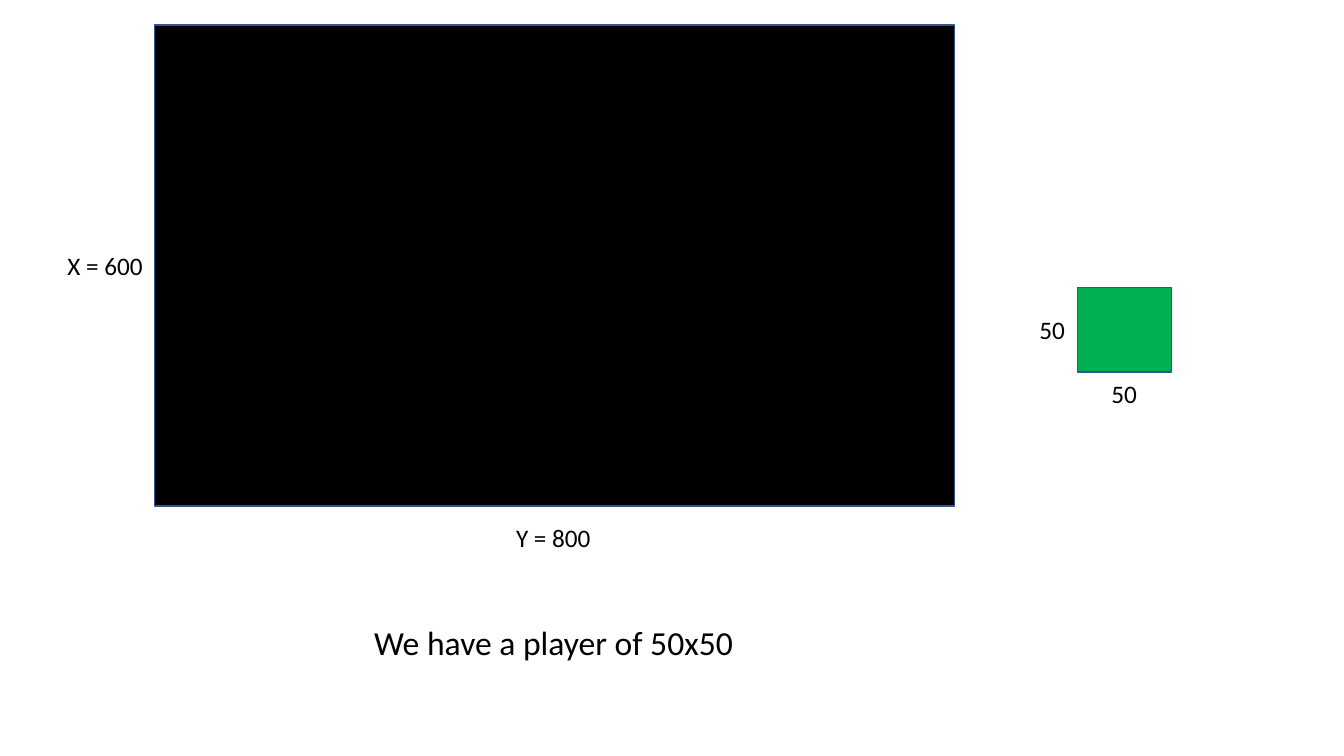
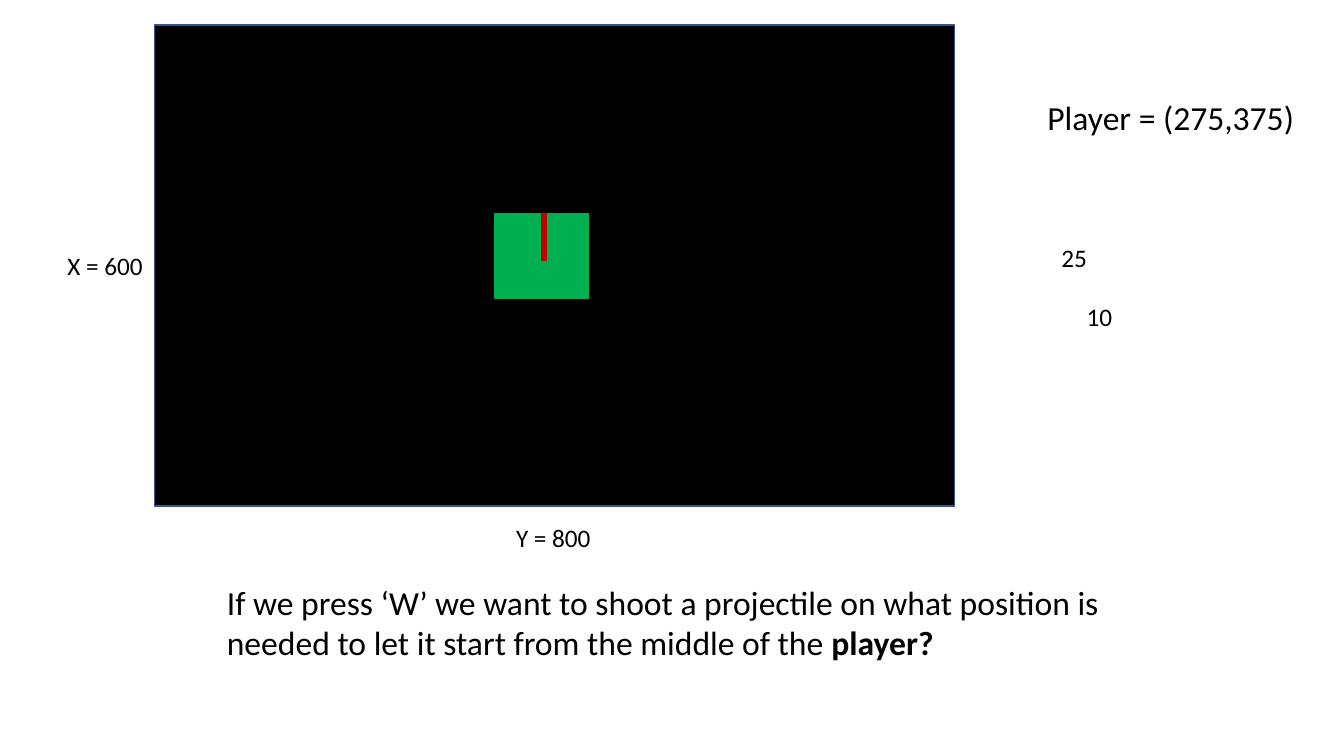
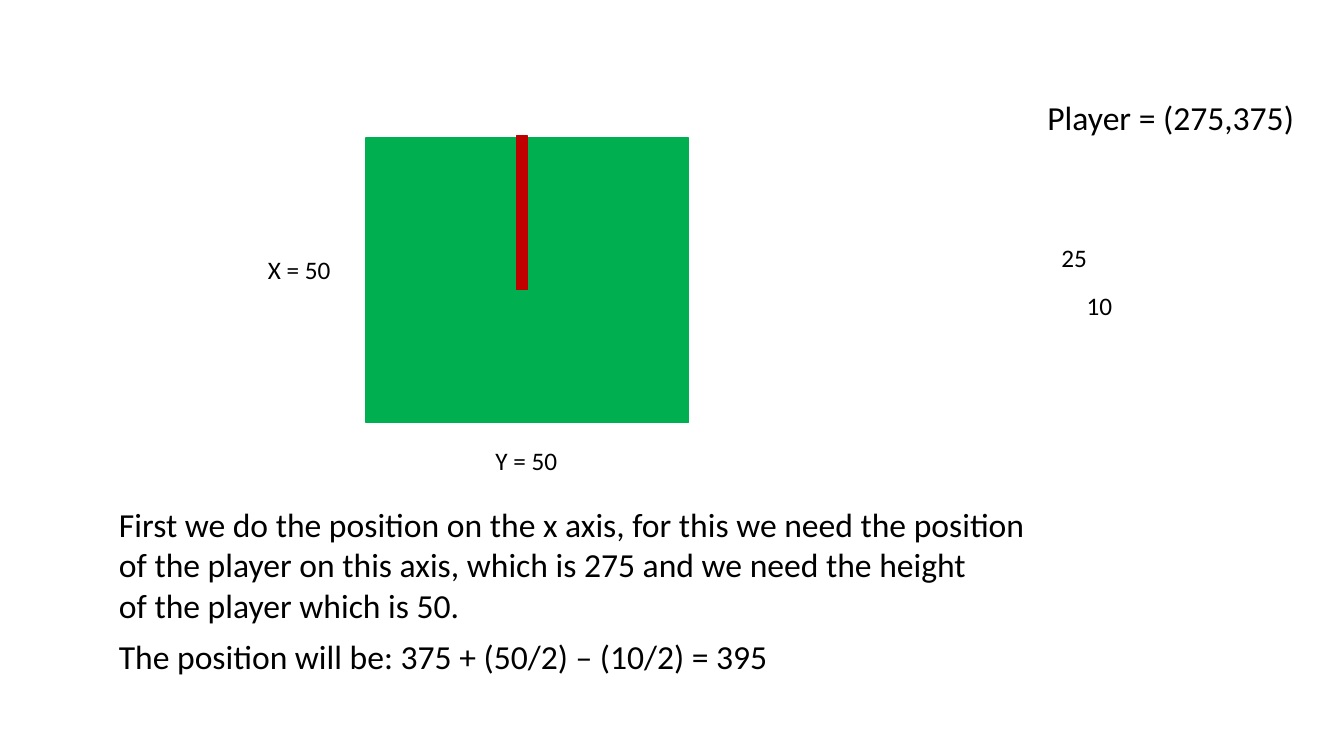
from dataclasses import dataclass

from pptx import Presentation
from pptx.dml.color import RGBColor
from pptx.enum.shapes import MSO_SHAPE
from pptx.enum.text import MSO_ANCHOR, MSO_AUTO_SIZE, PP_ALIGN
from pptx.util import Inches, Pt

FONT = "Calibri"
TEXT = "000000"
SCREEN = "000000"
OUTLINE = "325491"
PLAYER = "00B050"
PROJECTILE = "C00000"
STATEMENT_SIZE = 24
LABEL_SIZE = 18
LABEL_HEIGHT = 0.4
STATEMENT_HEIGHT = 0.5


@dataclass(frozen=True)
class Box:
    """Hold a region of the slide in inches."""

    left: float
    top: float
    width: float
    height: float

    def inside(self, left, top, width, height):
        """Return a box placed relative to this one's corner."""
        return Box(self.left + left, self.top + top, width, height)

    def lengths(self):
        """Return left, top, width and height as slide lengths."""
        return [Inches(n) for n in (self.left, self.top, self.width, self.height)]


GAME_SCREEN = Box(1.53, 0.25, 7.94, 4.77)
NOTES = Box(10.29, 0.91, 2.67, 2.43)


def color(code):
    """Turn a hex string into a colour."""
    return RGBColor.from_string(code)


def write(holder, text, size=LABEL_SIZE, bold_end=""):
    """Fill a text holder, one paragraph a line, with an optional bold ending."""
    frame = holder.text_frame
    frame.word_wrap = False
    frame.auto_size = MSO_AUTO_SIZE.SHAPE_TO_FIT_TEXT
    frame.vertical_anchor = MSO_ANCHOR.TOP
    frame.text = text
    if bold_end:
        frame.paragraphs[-1].add_run().text = bold_end
        frame.paragraphs[-1].runs[-1].font.bold = True
    for paragraph in frame.paragraphs:
        paragraph.alignment = PP_ALIGN.LEFT
        for run in paragraph.runs:
            run.font.name = FONT
            run.font.size = Pt(size)
            run.font.color.rgb = color(TEXT)


def add_text(slide, box, text, **style):
    """Add a text box."""
    write(slide.shapes.add_textbox(*box.lengths()), text, **style)


def add_statement(slide, box, text, **style):
    """Place the slide's main statement in its title placeholder."""
    statement = slide.shapes.title
    statement.left, statement.top, statement.width, statement.height = box.lengths()
    write(statement, text, size=STATEMENT_SIZE, **style)


def add_block(slide, box, fill, line):
    """Add a plain outlined rectangle."""
    block = slide.shapes.add_shape(MSO_SHAPE.RECTANGLE, *box.lengths())
    block.shadow.inherit = False
    block.fill.solid()
    block.fill.fore_color.rgb = color(fill)
    block.line.color.rgb = color(line)
    block.line.width = Pt(1)


def add_dimensions(slide, box, x_text, y_text, width, x_gap, y_gap, x_rise=0):
    """Label a box's height on its left and its width below it."""
    x_top = (box.height - LABEL_HEIGHT) / 2 - x_rise
    y_left = (box.width - width) / 2
    add_text(slide, box.inside(-x_gap - width, x_top, width, LABEL_HEIGHT), x_text)
    add_text(slide, box.inside(y_left, box.height + y_gap, width, LABEL_HEIGHT), y_text)


def add_game_screen(slide):
    """Draw the game screen with its dimensions."""
    add_block(slide, GAME_SCREEN, SCREEN, OUTLINE)
    add_dimensions(slide, GAME_SCREEN, "X = 600", "Y = 800", 0.96, 0, 0.11)


def add_armed_player(slide, player, projectile):
    """Draw the player with a projectile starting from its middle."""
    add_block(slide, player, PLAYER, PLAYER)
    add_block(slide, projectile, PROJECTILE, PROJECTILE)


def add_player_notes(slide, box, width_top):
    """List the player's position and the projectile's size."""
    position = box.inside(0, 0, box.width, STATEMENT_HEIGHT)
    add_text(slide, position, "Player = (275,375)", size=STATEMENT_SIZE)
    add_text(slide, box.inside(0.14, 1.44, 0.46, LABEL_HEIGHT), "25")
    add_text(slide, box.inside(0.39, width_top, 0.46, LABEL_HEIGHT), "10")


def build_player_size(slide):
    """Show the screen and the size of the player."""
    player = Box(10.69, 2.85, 0.93, 0.84)
    add_game_screen(slide)
    add_block(slide, player, PLAYER, OUTLINE)
    add_dimensions(slide, player, "50", "50", 0.46, 0.02, 0.01)
    add_statement(slide, Box(3.61, 6.12, 3.8, STATEMENT_HEIGHT),
                  "We have a player of 50x50")


def build_question(slide):
    """Ask where the projectile has to start."""
    player = Box(4.91, 2.12, 0.93, 0.84)
    add_game_screen(slide)
    add_armed_player(slide, player, player.inside(0.46, 0, 0.05, 0.46))
    add_player_notes(slide, NOTES, 2.03)
    add_statement(
        slide, Box(2.15, 5.72, 9, 0.91),
        "If we press ‘W’ we want to shoot a projectile on what position is\n"
        "needed to let it start from the middle of the ",
        bold_end="player?")


def build_answer(slide):
    """Work out the start position on a larger player."""
    player = Box(3.63, 1.37, 3.2, 2.82)
    explanation = Box(1.08, 4.95, 9.34, 1.31)
    add_armed_player(slide, player, player.inside(1.49, -0.02, 0.11, 1.52))
    add_dimensions(slide, player, "X = 50", "Y = 50", 0.83, 0.24, 0.18, x_rise=0.11)
    add_player_notes(slide, NOTES, 1.92)
    add_statement(
        slide, explanation,
        "First we do the position on the x axis, for this we need the position\n"
        "of the player on this axis, which is 275 and we need the height\n"
        "of the player which is 50.")
    add_text(slide, explanation.inside(0, explanation.height, 6.69, STATEMENT_HEIGHT),
             "The position will be: 375 + (50/2) – (10/2) = 395", size=STATEMENT_SIZE)


def main():
    """Build and save the presentation."""
    deck = Presentation()
    deck.slide_width, deck.slide_height = Inches(13.33), Inches(7.5)
    title_only = deck.slide_layouts.get_by_name("Title Only")
    for build in (build_player_size, build_question, build_answer):
        build(deck.slides.add_slide(title_only))
    deck.save("out.pptx")


if __name__ == "__main__":
    main()
